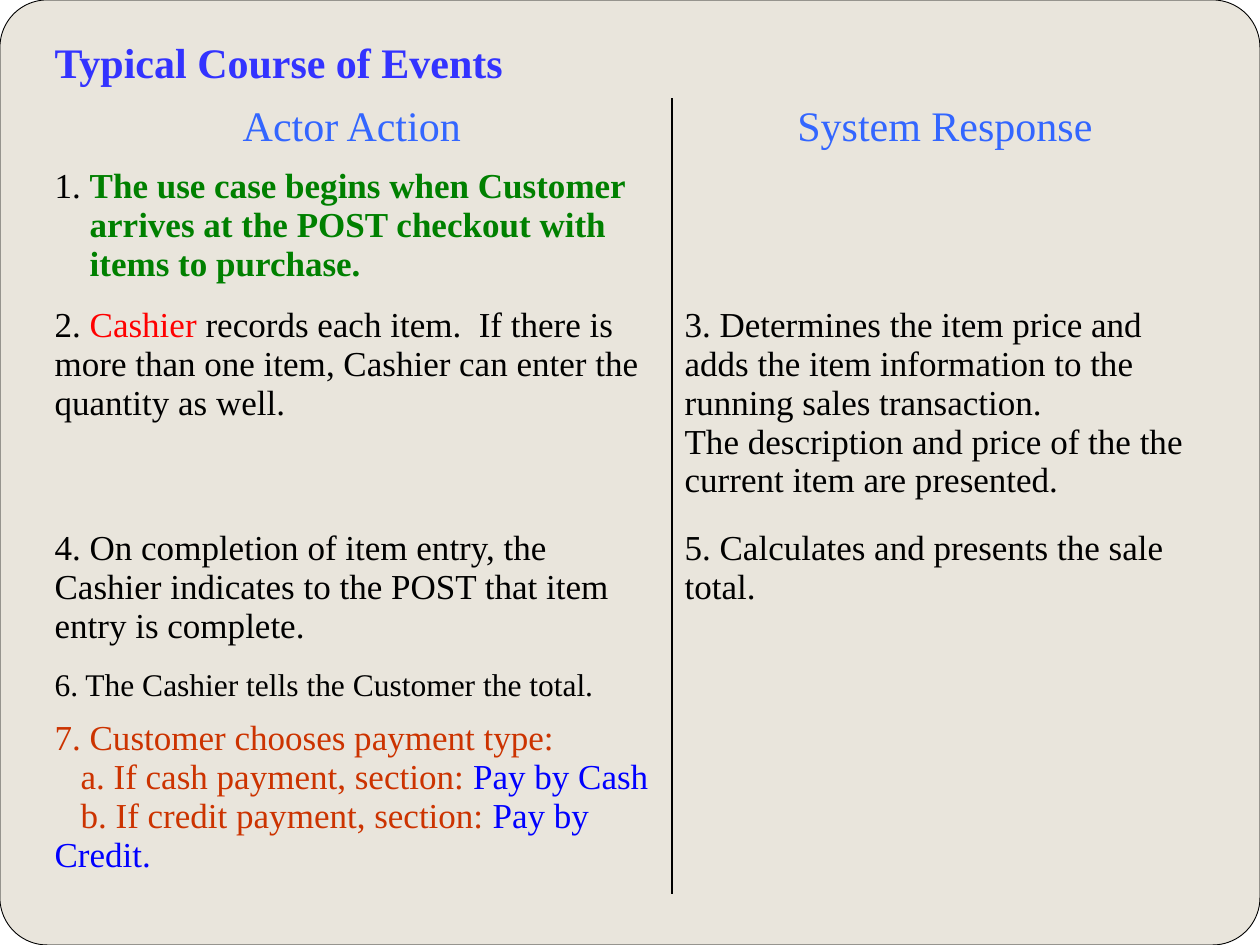
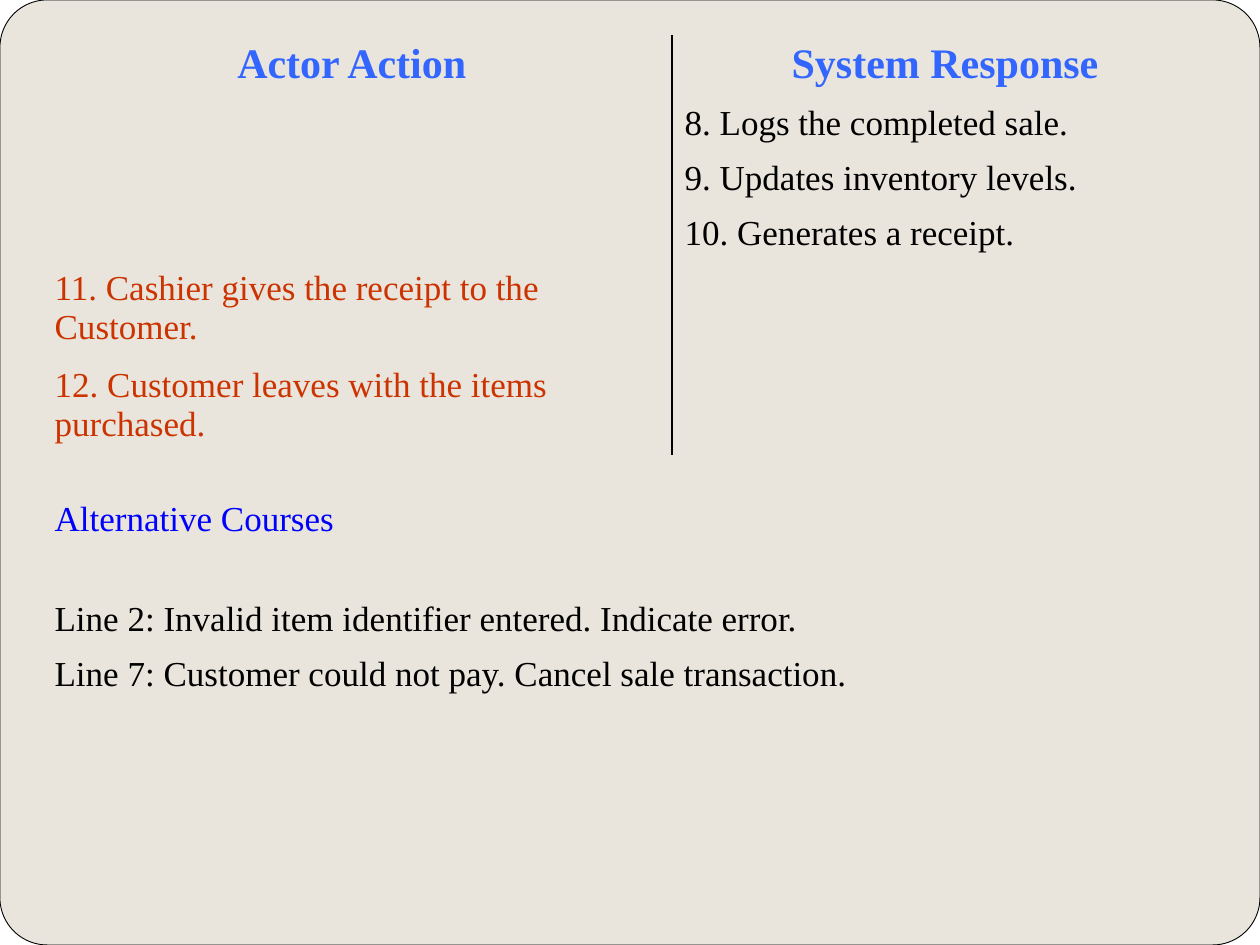
from dataclasses import dataclass

from lxml import etree
from pptx import Presentation
from pptx.dml.color import RGBColor
from pptx.enum.shapes import MSO_SHAPE
from pptx.enum.text import PP_ALIGN
from pptx.oxml.ns import qn
from pptx.util import Pt

PX = 914400 / 126
SLIDE_W, SLIDE_H = 1260, 945
TABLE_LEFT, TABLE_TOP = 42, 35
COLUMN_WIDTHS = (630, 546)
LINE_HEIGHT = 39
CELL_TOP = 6
HEADING_HEIGHT = 63
SINGLE_HEIGHT = 55
FONT = "Times New Roman"
PLAIN_TABLE = "{2D5ABB26-0587-4C30-8999-92F81FD0307C}"
RECTANGLE = MSO_SHAPE.RECTANGLE
ROUNDED = MSO_SHAPE.ROUNDED_RECTANGLE
LEFT, CENTER = PP_ALIGN.LEFT, PP_ALIGN.CENTER
COLORS = {
    "white": "FFFFFF",
    "panel": "E9E5DC",
    "ink": "000000",
    "title": "3333FF",
    "heading": "3366FF",
    "opening": "008000",
    "actor": "FF0000",
    "customer": "CC3300",
    "section": "0000FF",
}


@dataclass(frozen=True)
class Phrase:
    text: str
    color: str = "ink"
    size: int = 20
    bold: bool = False


@dataclass(frozen=True)
class Line:
    phrases: tuple[Phrase, ...]
    margin: int = 0
    indent: int = 0
    align: PP_ALIGN = LEFT


@dataclass(frozen=True)
class Step:
    height: int
    actor: tuple[Line, ...] = ()
    system: tuple[Line, ...] = ()
    spans: bool = False
    lead: int = 0


def emu(px: float) -> int:
    return round(px * PX)


def rgb(name: str) -> RGBColor:
    return RGBColor.from_string(COLORS[name])


def say(*texts: str, color: str = "ink", size: int = 20) -> tuple[Line, ...]:
    return tuple(Line((Phrase(text, color, size),)) for text in texts)


def opening(text: str) -> Line:
    return Line((Phrase(text, "opening", bold=True),), margin=35)


def payment(choice: str, section: str) -> Line:
    return Line((Phrase(choice, "customer"), Phrase(section, "section")), indent=26)


def headings(bold: bool) -> Step:
    actor, system = (
        (Line((Phrase(text, "heading", 24, bold),), align=CENTER),)
        for text in ("Actor Action ", "System Response")
    )
    return Step(HEADING_HEIGHT, actor, system)


def draw_panel(slide, kind: MSO_SHAPE, fill: str, outlined: bool) -> None:
    panel = slide.shapes.add_shape(kind, 0, 0, emu(SLIDE_W), emu(SLIDE_H))
    panel.shadow.inherit = False
    panel.fill.solid()
    panel.fill.fore_color.rgb = rgb(fill)
    if outlined:
        panel.adjustments[0] = 0.05
        panel.line.color.rgb = rgb("ink")
        panel.line.width = Pt(0.5)
    else:
        panel.line.fill.background()


def draw_borders(cell, divider: str) -> None:
    properties = cell._tc.get_or_add_tcPr()
    for position, side in enumerate(("lnL", "lnR", "lnT", "lnB")):
        border = etree.Element(qn(f"a:{side}"), w=str(Pt(1)))
        if side == divider:
            fill = etree.SubElement(border, qn("a:solidFill"))
            etree.SubElement(fill, qn("a:srgbClr"), val=COLORS["ink"])
        else:
            etree.SubElement(border, qn("a:noFill"))
        properties.insert(position, border)


def write_cell(cell, lines: tuple[Line, ...], divider: str, lead: int) -> None:
    cell.fill.background()
    draw_borders(cell, divider)
    if lead:
        cell.margin_top = emu(CELL_TOP + lead)
    for number, line in enumerate(lines):
        frame = cell.text_frame
        paragraph = frame.add_paragraph() if number else frame.paragraphs[0]
        paragraph.alignment = line.align
        properties = paragraph._p.get_or_add_pPr()
        properties.set("marL", str(emu(line.margin)))
        properties.set("indent", str(emu(line.indent)))
        for phrase in line.phrases:
            run = paragraph.add_run()
            run.text = phrase.text
            run.font.name = FONT
            run.font.size = Pt(phrase.size)
            run.font.bold = phrase.bold
            run.font.color.rgb = rgb(phrase.color)


def draw_course(slide, steps: list[Step]) -> None:
    course = slide.shapes.add_table(
        len(steps), 2, emu(TABLE_LEFT), emu(TABLE_TOP),
        emu(sum(COLUMN_WIDTHS)), emu(sum(step.height for step in steps)),
    ).table
    course.first_row = False
    course.horz_banding = False
    course._tbl.tblPr.find(qn("a:tableStyleId")).text = PLAIN_TABLE
    for column, width in zip(course.columns, COLUMN_WIDTHS):
        column.width = emu(width)
    for number, step in enumerate(steps):
        course.rows[number].height = emu(step.height)
        actor, system = course.cell(number, 0), course.cell(number, 1)
        if step.spans:
            actor.merge(system)
        write_cell(actor, step.actor, "" if step.spans else "lnR", step.lead)
        write_cell(system, step.system, "" if step.spans else "lnL", 0)


MAIN_COURSE = [
    Step(
        HEADING_HEIGHT,
        (Line((Phrase("Typical Course of Events", "title", 24, True),)),),
        spans=True,
    ),
    headings(bold=False),
    Step(139, (
        Line((
            Phrase("1. "),
            Phrase("The use case begins when Customer", "opening", bold=True),
        )),
        opening("arrives at the POST checkout with"),
        opening("items to purchase."),
    )),
    Step(
        223,
        (Line((
            Phrase("2. "),
            Phrase("Cashier ", "actor"),
            Phrase("records each item.  If there is more than one item, "
                   "Cashier can enter the quantity as well."),
        )),),
        say(
            "3. Determines the item price and adds the item information "
            "to the running sales transaction.",
            "The description and price of the the current item are presented.",
        ),
    ),
    Step(
        139,
        say("4. On completion of item entry, the Cashier indicates to the POST "
            "that item entry is complete."),
        say("5. Calculates and presents the sale total."),
    ),
    Step(50, say("6. The Cashier tells the Customer the total.", size=18)),
    Step(181, (
        *say("7. Customer chooses payment type:", color="customer"),
        payment("a. If cash payment, section: ", "Pay by Cash"),
        payment("b. If credit payment, section: ", "Pay by Credit."),
    )),
]

CLOSING_COURSE = [
    headings(bold=True),
    *(
        Step(SINGLE_HEIGHT, system=say(text))
        for text in (
            "8. Logs the completed sale.",
            "9. Updates inventory levels.",
            "10. Generates a receipt.",
        )
    ),
    Step(97, say("11. Cashier gives the receipt to the Customer.", color="customer")),
    Step(95, say("12. Customer leaves with the items purchased.", color="customer")),
    Step(139, say("Alternative Courses", color="section"), spans=True, lead=LINE_HEIGHT),
    *(
        Step(SINGLE_HEIGHT, say(text), spans=True)
        for text in (
            "Line 2: Invalid item identifier entered. Indicate error.",
            "Line 7: Customer could not pay. Cancel sale transaction.",
        )
    ),
]


def main() -> None:
    deck = Presentation()
    deck.slide_width, deck.slide_height = emu(SLIDE_W), emu(SLIDE_H)
    for steps in (MAIN_COURSE, CLOSING_COURSE):
        slide = deck.slides.add_slide(deck.slide_layouts[6])
        slide.background.fill.solid()
        slide.background.fill.fore_color.rgb = rgb("panel")
        draw_panel(slide, RECTANGLE, "white", outlined=False)
        draw_panel(slide, ROUNDED, "panel", outlined=True)
        draw_course(slide, steps)
    deck.save("out.pptx")


if __name__ == "__main__":
    main()
